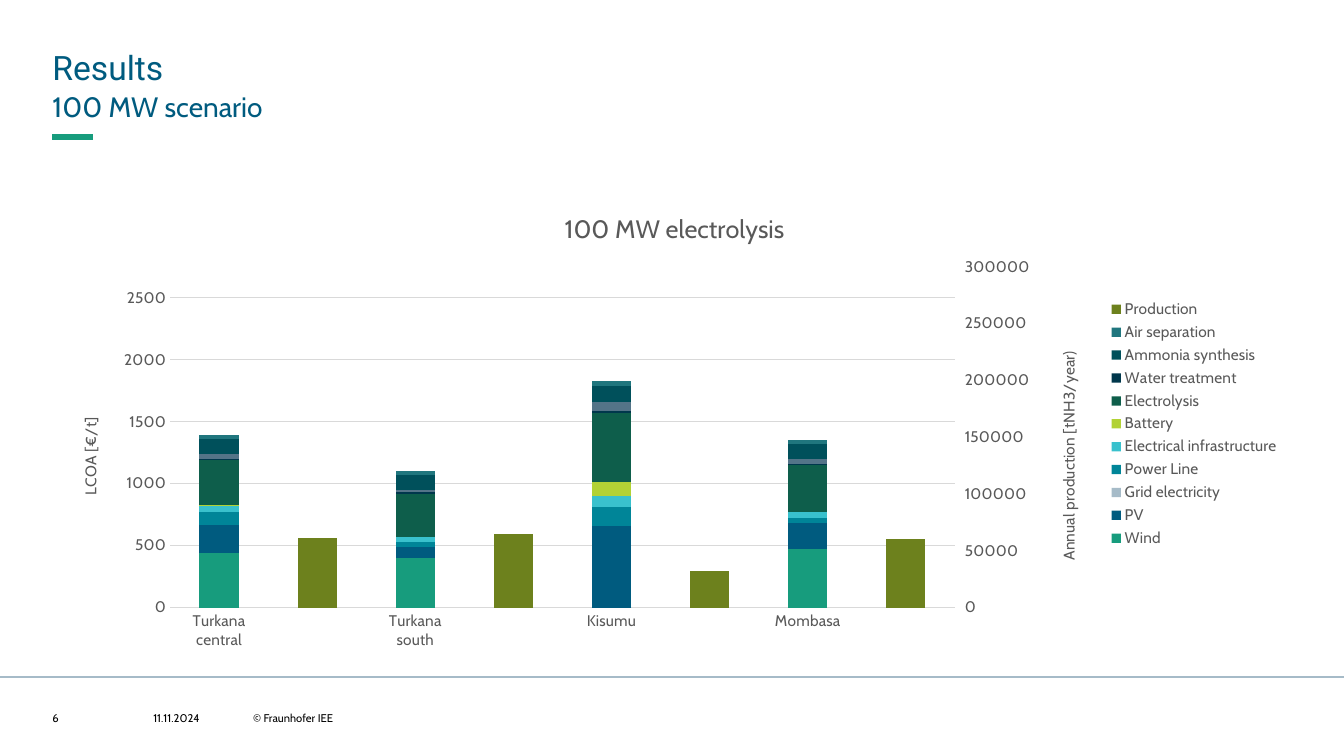
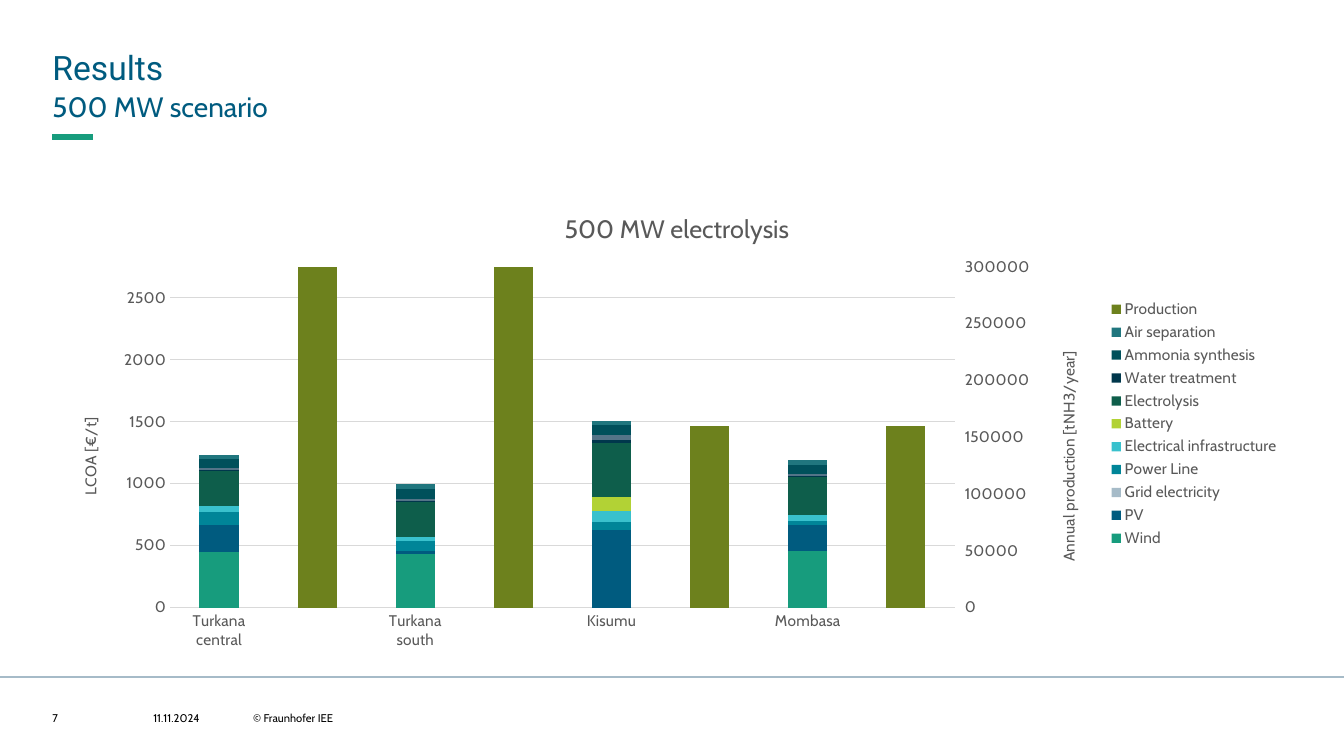
from copy import deepcopy
from dataclasses import dataclass

from lxml.etree import SubElement
from pptx import Presentation
from pptx.chart.axis import ValueAxis
from pptx.chart.data import CategoryChartData
from pptx.dml.color import RGBColor
from pptx.enum.chart import XL_CHART_TYPE as ChartType
from pptx.enum.chart import XL_LEGEND_POSITION as LegendPosition
from pptx.enum.chart import XL_TICK_MARK as TickMark
from pptx.enum.shapes import MSO_CONNECTOR as Connector
from pptx.enum.text import MSO_ANCHOR as Anchor
from pptx.enum.text import MSO_AUTO_SIZE as AutoSize
from pptx.enum.text import PP_ALIGN as Align
from pptx.oxml.ns import qn
from pptx.util import Inches, Pt


@dataclass(frozen=True)
class Theme:
    heading_font: str = "Roboto"
    body_font: str = "Cabin"
    heading: str = "005B7F"
    accent: str = "179C7D"
    rule: str = "A6BBC8"
    footer: str = "000000"
    chart_text: str = "595959"
    grid: str = "D9D9D9"
    title_size: int = 24
    subtitle_size: int = 20
    chart_title_size: int = 18
    chart_size: int = 11
    footer_size: int = 8


THEME = Theme()
MARGIN, CONTENT_WIDTH = 0.52, 12.28
LOCATIONS = ["Turkana central", "Turkana south", "Kisumu", "Mombasa"]
UNLISTED = "Series 9"
SERIES_COLORS = {
    "Wind": "179C7D",
    "PV": "005B7F",
    "Grid electricity": "A6BBC8",
    "Power Line": "008598",
    "Electrical infrastructure": "39C1CD",
    "Battery": "B2D235",
    "Electrolysis": "0E5E4B",
    "Water treatment": "00374C",
    UNLISTED: "547488",
    "Ammonia synthesis": "00505B",
    "Air separation": "20767E",
    "Production": "6D811D",
}


@dataclass(frozen=True)
class Scenario:
    """Values per location, with series in the order of SERIES_COLORS."""
    page: int
    power: str
    production_title: str
    values: list


SCENARIOS = [
    Scenario(6, "100 MW", "Annual production [tNH3/year)", [
        [440, 400, 0, 470],
        [230, 90, 660, 210],
        [0, 0, 0, 0],
        [100, 40, 150, 40],
        [50, 40, 90, 50],
        [10, 0, 110, 0],
        [360, 350, 560, 380],
        [10, 10, 20, 10],
        [40, 20, 70, 40],
        [120, 120, 130, 120],
        [30, 30, 40, 30],
        [61000, 65000, 32000, 60000],
    ]),
    Scenario(7, "500 MW", "Annual production [tNH3/year]", [
        [450, 430, 0, 460],
        [220, 30, 630, 210],
        [0, 0, 0, 0],
        [100, 80, 60, 30],
        [50, 30, 90, 50],
        [0, 0, 110, 0],
        [280, 280, 440, 300],
        [10, 10, 20, 10],
        [20, 20, 40, 20],
        [70, 80, 80, 70],
        [30, 40, 40, 40],
        [310000, 310000, 160000, 160000],
    ]),
]


def set_font(font, size, color, name=THEME.body_font):
    font.name = name
    font.size = Pt(size)
    font.bold = False
    font.color.rgb = RGBColor.from_string(color)


def place(shape, left, top, width, height):
    shape.left, shape.top = Inches(left), Inches(top)
    shape.width, shape.height = Inches(width), Inches(height)


def fill_text(shape, text, size, color, font=THEME.body_font, anchor=Anchor.TOP):
    frame = shape.text_frame
    frame.margin_left = frame.margin_right = 0
    frame.margin_top = frame.margin_bottom = 0
    frame.word_wrap = True
    frame.auto_size = AutoSize.NONE
    frame.vertical_anchor = anchor
    paragraph = frame.paragraphs[0]
    paragraph.alignment = Align.LEFT
    run = paragraph.add_run()
    run.text = text
    set_font(run.font, size, color, font)
    return paragraph


def add_heading(slide, subtitle):
    title, body = slide.shapes.title, slide.placeholders[1]
    place(title, MARGIN, 0.43, CONTENT_WIDTH, 0.42)
    place(body, MARGIN, 0.85, CONTENT_WIDTH, 0.35)
    title_line = fill_text(title, "Results", THEME.title_size, THEME.heading,
                           THEME.heading_font)
    subtitle_line = fill_text(body, subtitle, THEME.subtitle_size, THEME.heading)
    for paragraph in (title_line, subtitle_line):
        paragraph.line_spacing = 1.1
        paragraph.space_before = 0
    properties = subtitle_line._p.get_or_add_pPr()
    properties.set("marL", "0")
    properties.set("indent", "0")
    SubElement(properties, qn("a:buNone"))


def add_footer(slide, page):
    parts = [(MARGIN, 0.79, str(page)), (1.52, 0.79, "11.11.2024"),
             (2.51, 3.23, "© Fraunhofer IEE")]
    for left, width, text in parts:
        box = slide.shapes.add_textbox(
            Inches(left), Inches(7.06), Inches(width), Inches(0.13))
        fill_text(box, text, THEME.footer_size, THEME.footer, anchor=Anchor.MIDDLE)


def add_layout_rule(slide, left, right, top, color, width):
    """Draw a horizontal rule and move it to the layout that slides share."""
    rule = slide.shapes.add_connector(
        Connector.STRAIGHT, Inches(left), Inches(top), Inches(right), Inches(top))
    rule.line.color.rgb = RGBColor.from_string(color)
    rule.line.width = Pt(width)
    SubElement(rule.element.spPr, qn("a:effectLst"))
    slide.slide_layout.shapes.element.append(rule.element)


def set_manual_layout(parent, index, inner=False, **fractions):
    """Place a chart part by fractions of the chart's size."""
    for old in parent.findall(qn("c:layout")):
        parent.remove(old)
    layout = SubElement(parent, qn("c:layout"))
    manual = SubElement(layout, qn("c:manualLayout"))
    if inner:
        SubElement(manual, qn("c:layoutTarget")).set("val", "inner")
    for mode in ("xMode", "yMode"):
        SubElement(manual, qn(f"c:{mode}")).set("val", "edge")
    for key, value in fractions.items():
        SubElement(manual, qn(f"c:{key}")).set("val", str(value))
    parent.insert(index, layout)


def write_chart_title(title, text, size, x, y):
    run = title.text_frame.paragraphs[0].add_run()
    run.text = text
    set_font(run.font, size, THEME.chart_text)
    set_manual_layout(title.element, 1, x=x, y=y)


def style_value_axis(axis, title, maximum, step, tick_mark, x, y):
    axis.minimum_scale, axis.maximum_scale = 0, maximum
    axis.major_unit = step
    axis.major_tick_mark = tick_mark
    axis.minor_tick_mark = TickMark.NONE
    axis.format.line.fill.background()
    set_font(axis.tick_labels.font, THEME.chart_size, THEME.chart_text)
    axis.has_title = True
    write_chart_title(axis.axis_title, title, THEME.chart_size, x, y)
    body = axis.axis_title.element.find(f".//{qn('a:bodyPr')}")
    body.set("rot", "-5400000")
    body.set("vert", "horz")


def style_grid_line(line):
    line.color.rgb = RGBColor.from_string(THEME.grid)
    line.width = Pt(0.75)


def add_secondary_axis(chart):
    """Move the last series to a second plot and return its value axis."""
    bars = chart.element.find(f".//{qn('c:barChart')}")
    categories = chart.element.find(f".//{qn('c:catAx')}")
    values = chart.element.find(f".//{qn('c:valAx')}")
    right_bars, right_categories, right_values = map(
        deepcopy, (bars, categories, values))
    bars.remove(bars.findall(qn("c:ser"))[-1])
    for series in right_bars.findall(qn("c:ser"))[:-1]:
        right_bars.remove(series)

    category_id, value_id = "50010", "50020"
    for reference, new_id in zip(right_bars.findall(qn("c:axId")),
                                 (category_id, value_id)):
        reference.set("val", new_id)
    settings = [
        (right_categories, {"axId": category_id, "crossAx": value_id, "delete": "1"}),
        (right_values, {"axId": value_id, "crossAx": category_id,
                        "axPos": "r", "crosses": "max"}),
    ]
    for axis, changes in settings:
        for tag, value in changes.items():
            axis.find(qn(f"c:{tag}")).set("val", value)
    bars.addnext(right_bars)
    values.addnext(right_values)
    right_values.addnext(right_categories)
    right_axis = ValueAxis(right_values)
    right_axis.has_major_gridlines = False
    return right_axis


def spread(values, offset):
    """Give each location two slots and fill the one at offset."""
    slots = [None] * (2 * len(values))
    slots[offset::2] = values
    return slots


def scenario_data(scenario):
    data = CategoryChartData()
    data.categories = [label for place_name in LOCATIONS for label in (place_name, "")]
    for name, values in zip(SERIES_COLORS, scenario.values):
        data.add_series(name, spread(values, int(name == "Production")))
    return data


def add_legend(chart):
    chart.has_legend = True
    chart.legend.position = LegendPosition.RIGHT
    chart.legend.include_in_layout = False
    set_font(chart.legend.font, THEME.chart_size, THEME.chart_text)
    legend_position = chart.element.find(f".//{qn('c:legendPos')}")
    entry = SubElement(legend_position.getparent(), qn("c:legendEntry"))
    SubElement(entry, qn("c:idx")).set("val", str(list(SERIES_COLORS).index(UNLISTED)))
    SubElement(entry, qn("c:delete")).set("val", "1")
    legend_position.addnext(entry)


def add_cost_chart(slide, scenario):
    chart = slide.shapes.add_chart(
        ChartType.COLUMN_STACKED, Inches(MARGIN), Inches(1.86),
        Inches(CONTENT_WIDTH), Inches(4.69), scenario_data(scenario)).chart
    set_font(chart.font, THEME.chart_size, THEME.chart_text)
    chart.has_title = True
    write_chart_title(chart.chart_title, f"{scenario.power} electrolysis",
                      THEME.chart_title_size, 0.41, 0.04)
    add_legend(chart)

    plot = chart.plots[0]
    plot.gap_width, plot.overlap = 150, 100
    plot.vary_by_categories = False
    for series, color in zip(plot.series, SERIES_COLORS.values()):
        series.format.fill.solid()
        series.format.fill.fore_color.rgb = RGBColor.from_string(color)

    location_axis = chart.category_axis
    location_axis.major_tick_mark = TickMark.NONE
    style_grid_line(location_axis.format.line)
    set_font(location_axis.tick_labels.font, THEME.chart_size, THEME.chart_text)
    cost_axis = chart.value_axis
    style_grid_line(cost_axis.major_gridlines.format.line)
    production_axis = add_secondary_axis(chart)
    style_value_axis(cost_axis, "LCOA [€/t]", 2750, 500, TickMark.NONE, 0.02, 0.48)
    style_value_axis(production_axis, scenario.production_title, 300000, 50000,
                     TickMark.OUTSIDE, 0.81, 0.34)
    plot_area = chart.element.find(f".//{qn('c:plotArea')}")
    set_manual_layout(plot_area, 0, inner=True, x=0.095, y=0.168, w=0.634, h=0.721)


def main():
    prs = Presentation()
    prs.slide_width, prs.slide_height = Inches(13.33), Inches(7.5)
    layout = prs.slide_layouts[1]
    for scenario in SCENARIOS:
        slide = prs.slides.add_slide(layout)
        add_heading(slide, f"{scenario.power} scenario")
        add_footer(slide, scenario.page)
        add_cost_chart(slide, scenario)
    first = prs.slides[0]
    add_layout_rule(first, MARGIN, 0.92, 1.36, THEME.accent, 4)
    add_layout_rule(first, 0, 13.33, 6.72, THEME.rule, 1.5)
    prs.save("out.pptx")


if __name__ == "__main__":
    main()
